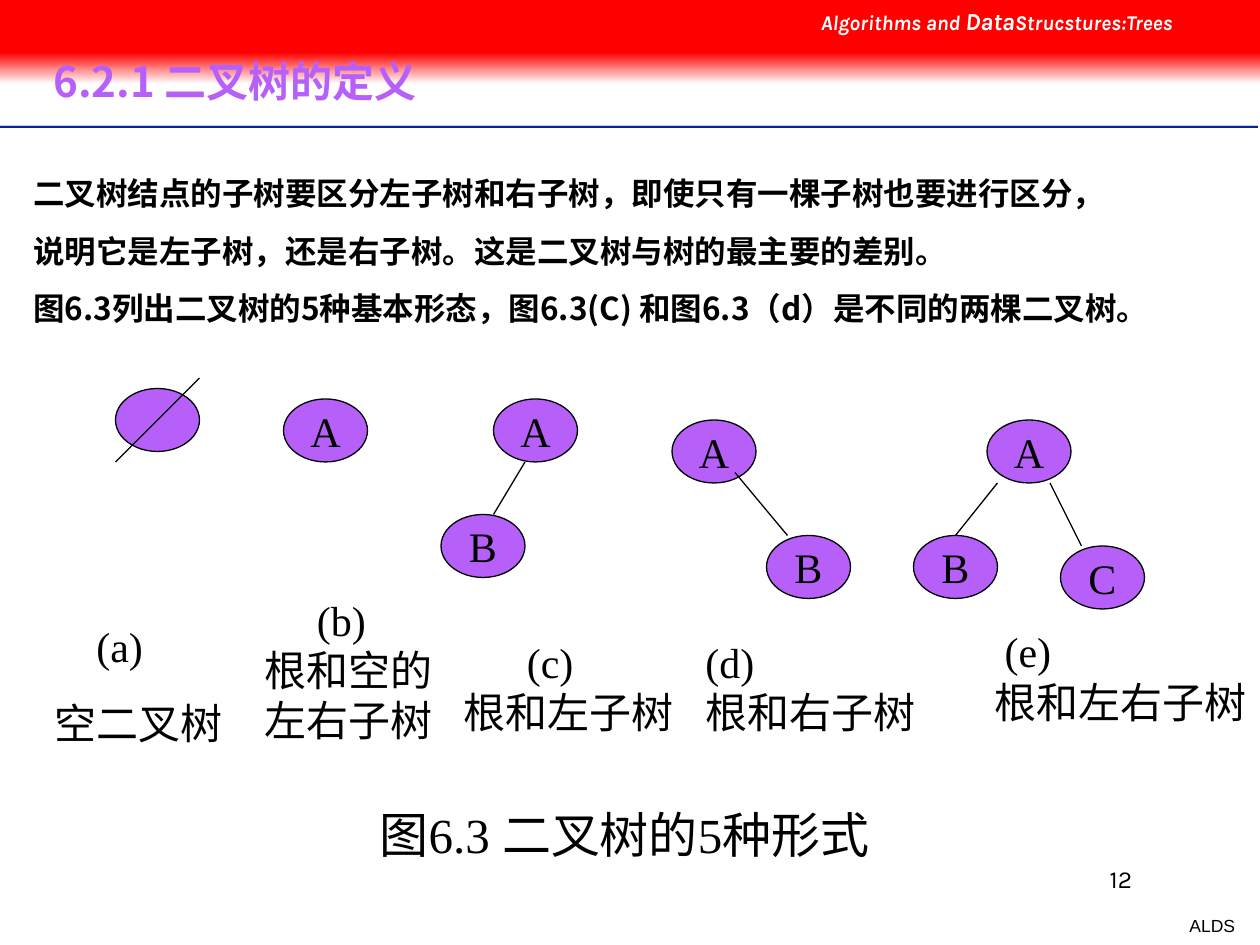
from lxml import etree
from pptx import Presentation
from pptx import util as u
from pptx.dml.color import RGBColor
from pptx.enum import shapes, text
from pptx.oxml.ns import qn

COLORS = {"black": "000000", "white": "FFFFFF", "red": "FF0000",
          "purple": "B760F9", "blue": "00279F", "gray": "CECECE"}
CJK = "Noto Sans CJK SC"
SERIF = "Times New Roman"
CELL = u.Inches(1) // 12  # the slide is a grid of 120 columns by 90 rows


def grid(*cells):
    return [round(cell * CELL) for cell in cells]


def write(shape, paragraphs, font=SERIF, size=24, color="black", bold=False,
          italic=False, align=text.PP_ALIGN.LEFT, anchor=text.MSO_ANCHOR.TOP,
          wrap=True, before=0, spacing=1.0, indent=0):
    """Each paragraph is a string or a list of (string, size) pairs.
    The indent, in points, applies to the first paragraph."""
    frame = shape.text_frame
    frame.word_wrap = wrap
    frame.vertical_anchor = anchor
    for number, content in enumerate(paragraphs):
        paragraph = frame.add_paragraph() if number else frame.paragraphs[0]
        paragraph.alignment = align
        paragraph.space_before = u.Pt(before)
        paragraph.line_spacing = spacing
        if indent and not number:
            paragraph._p.get_or_add_pPr().set("marL", str(u.Pt(indent)))
        pairs = [(content, size)] if isinstance(content, str) else content
        for words, points in pairs:
            run = paragraph.add_run()
            run.text = words
            run.font.name = font
            run.font.size = u.Pt(points)
            run.font.bold = bold
            run.font.italic = italic
            run.font.color.rgb = RGBColor.from_string(COLORS[color])
            etree.SubElement(run._r.get_or_add_rPr(), qn("a:ea"), typeface=CJK)


presentation = Presentation()
presentation.slide_width, presentation.slide_height = grid(120, 90)
slide = presentation.slides.add_slide(presentation.slide_layouts[5])

# Red header band fading to white
for top, height, faded in [(5, 3, True), (0, 5, False)]:
    band = slide.shapes.add_shape(shapes.MSO_SHAPE.RECTANGLE, *grid(0, top, 120, height))
    band.shadow.inherit = False
    band.line.fill.background()
    if faded:
        band.fill.gradient()
        band.fill.gradient_angle = 270
        for stop, color in zip(band.fill.gradient_stops, ["red", "white"]):
            stop.color.rgb = RGBColor.from_string(COLORS[color])
    else:
        band.fill.solid()
        band.fill.fore_color.rgb = RGBColor.from_string(COLORS["red"])

# Title, brought in front of the band
title = slide.shapes.title
slide.shapes._spTree.append(title._element)
title.left, title.top, title.width, title.height = grid(4, 3, 111, 10)
title.text_frame.margin_left = u.Inches(0.09)
write(title, ["6.2.1 二叉树的定义"], font=CJK, color="purple", bold=True,
      anchor=text.MSO_ANCHOR.MIDDLE, spacing=0.9)

# Tree nodes: label, column, row
nodes = [("", 11, 37), ("A", 27, 38),
         ("A", 47, 38), ("B", 42, 49),
         ("A", 64, 40), ("B", 73, 51),
         ("A", 94, 40), ("C", 101, 52), ("B", 87, 51)]
for label, column, row in nodes:
    node = slide.shapes.add_shape(shapes.MSO_SHAPE.OVAL, *grid(column, row, 8, 6))
    node.shadow.inherit = False
    node.fill.solid()
    node.fill.fore_color.rgb = RGBColor.from_string(COLORS["purple"])
    node.line.color.rgb = RGBColor.from_string(COLORS["black"])
    node.line.width = u.Pt(0.75)
    if label:
        write(node, [label], align=text.PP_ALIGN.CENTER,
              anchor=text.MSO_ANCHOR.MIDDLE, wrap=False)

# Header rules, the empty-tree stroke and the tree edges
lines = [((0, 12.1, 119.8, 12.1), "gray", 2),
         ((0, 12.1, 119.8, 12.1), "blue", 1),
         ((0, 12.3, 119.8, 12.3), "white", 1)]
edges = [(19, 36, 11, 44), (50, 44, 47, 49), (70, 45, 75, 51),
         (95, 46, 91, 51), (100, 46, 103, 52)]
lines += [(edge, "black", 0.75) for edge in edges]
for ends, color, width in lines:
    line = slide.shapes.add_connector(shapes.MSO_CONNECTOR.STRAIGHT, *grid(*ends))
    line.line.color.rgb = RGBColor.from_string(COLORS[color])
    line.line.width = u.Pt(width)
    etree.SubElement(line._element.spPr, qn("a:effectLst"))

# Text boxes: cells (left, top, width, height), paragraphs, format
right = text.PP_ALIGN.RIGHT
boxes = [
    ((77, 0, 43, 4),
     [[("Algorithms and ", 12), ("Data", 14), ("Strucstures:Trees", 12)]],
     dict(font="Karla", color="white", bold=True, italic=True)),
    ((2, 16, 115, 19.5),
     ["二叉树结点的子树要区分左子树和右子树，即使只有一棵子树也要进行区分，",
      "说明它是左子树，还是右子树。这是二叉树与树的最主要的差别。",
      "图6.3列出二叉树的5种基本形态，图6.3(C) 和图6.3（d）是不同的两棵二叉树。"],
     dict(font=CJK, size=18, bold=True, before=11.2)),
    ((4, 58.5, 20, 12.8), ["(a)", "空二叉树"], dict(before=15, indent=24)),
    ((24, 56, 22, 15.6), ["(b)", "根和空的左右子树"], dict(indent=30)),
    ((43, 60, 23, 10.8), ["(c)", "根和左子树"], dict(indent=36)),
    ((66, 60, 23, 10.8), ["(d)", "根和右子树"], {}),
    ((93.5, 59, 26.5, 10.8), ["(e)", "根和左右子树"], dict(indent=6)),
    ((35, 76, 54, 6.8), ["图6.3 二叉树的5种形式"], dict(size=28)),
    ((86, 81.7, 23, 6), ["12"], dict(font="Karla", size=14, align=right)),
    ((112, 86.6, 6.8, 3.2), ["ALDS"],
     dict(font="Arial", size=10, align=right, wrap=False)),
]
for cells, paragraphs, style in boxes:
    write(slide.shapes.add_textbox(*grid(*cells)), paragraphs, **style)

presentation.save("out.pptx")
